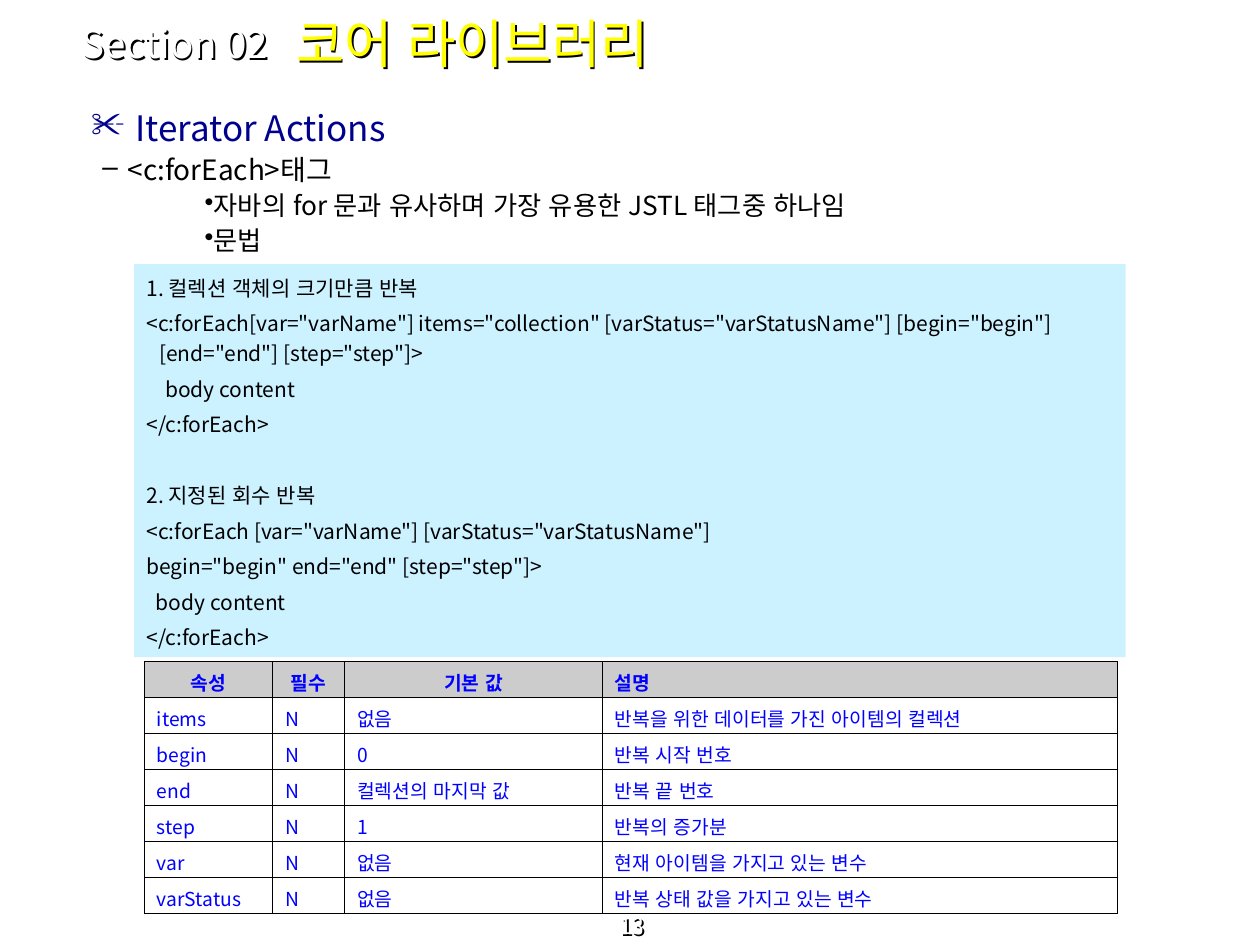
from lxml import etree
from pptx import Presentation
from pptx.dml.color import RGBColor
from pptx.enum import shapes, text
from pptx.oxml import ns
from pptx.util import Inches, Pt

W, H = 10, 7.5
FONT = "Noto Sans CJK KR"
COLORS = {"navy": "00008E", "black": "000000", "white": "FFFFFF", "yellow": "FFFF00",
          "blue": "0000FF", "code": "CDF2FF", "header": "CCCCCC"}
LEFT, CENTER, JUSTIFY = (text.PP_ALIGN.LEFT, text.PP_ALIGN.CENTER, text.PP_ALIGN.JUSTIFY)

# Outline: text, level, size, colour, bullet, left margin, first-line indent, space before
OUTLINE = [
    ("Iterator Actions", 0, 20, "navy", "✂", 0.45, -0.35, 0),
    ("<c:forEach>태그", 1, 16, "black", "–", 0.39, -0.2, 4),
    ("자바의 for 문과 유사하며 가장 유용한 JSTL 태그중 하나임", 2, 15, "black", "•", 0.59, 0.41, 3.7),
    ("문법", 2, 15, "black", "•", 0.59, 0.41, 3.7),
]
SYNTAX = [
    ["1. 컬렉션 객체의 크기만큼 반복",
     '<c:forEach[var="varName"] items="collection" [varStatus="varStatusName"] '
     '[begin="begin"] [end="end"] [step="step"]>',
     "    body content",
     "</c:forEach>"],
    ["2. 지정된 회수 반복",
     '<c:forEach [var="varName"] [varStatus="varStatusName"]',
     'begin="begin" end="end" [step="step"]>',
     "  body content",
     "</c:forEach>"],
]
ATTRIBUTES = [
    ("속성", "필수", "기본 값", "설명"),
    ("items", "N", "없음", "반복을 위한 데이터를 가진 아이템의 컬렉션"),
    ("begin", "N", "0", "반복 시작 번호"),
    ("end", "N", "컬렉션의 마지막 값", "반복 끝 번호"),
    ("step", "N", "1", "반복의 증가분"),
    ("var", "N", "없음", "현재 아이템을 가지고 있는 변수"),
    ("varStatus", "N", "없음", "반복 상태 값을 가지고 있는 변수"),
]
COL_SHARES = [0.132, 0.074, 0.265, 0.529]


def rgb(name):
    return RGBColor.from_string(COLORS[name])


def sub(parent, tag, **attrs):
    return etree.SubElement(parent, ns.qn(tag), {k: str(v) for k, v in attrs.items()})


def write(tf, content, size, color, first=False, bold=False, align=LEFT, level=0, before=0,
          spacing=None, margin=0, indent=0, bullet=None):
    """Add one formatted paragraph to a text frame."""
    p = tf.paragraphs[0] if first else tf.add_paragraph()
    p.alignment, p.level, p.line_spacing = align, level, spacing
    p.space_before = Pt(before)
    ppr = p._p.get_or_add_pPr()
    ppr.set("marL", str(Inches(margin)))
    ppr.set("indent", str(Inches(indent)))
    if bullet:
        sub(sub(ppr, "a:buClr"), "a:srgbClr", val=COLORS[color])
        sub(ppr, "a:buChar", char=bullet)
    r = p.add_run()
    r.text = content
    r.font.size, r.font.bold, r.font.color.rgb = Pt(size), bold, rgb(color)
    r.font.name = FONT
    rpr = r._r.get_or_add_rPr()
    rpr.set("lang", "ko-KR")
    sub(rpr, "a:ea", typeface=FONT)


def set_frame(tf, anchor=text.MSO_ANCHOR.TOP, top=0.05):
    tf.word_wrap, tf.vertical_anchor = True, anchor
    tf.margin_left = tf.margin_right = Inches(0.1)
    tf.margin_top, tf.margin_bottom = Inches(top), Inches(0.05)
    return tf


def add_box(slide, box, shadow=False, **frame):
    sp = slide.shapes.add_textbox(*map(Inches, box))
    if shadow:
        # An unfilled box casts the shadow of its text
        effects = sub(sp._element.spPr, "a:effectLst")
        outer = sub(effects, "a:outerShdw", dist=Pt(1.5), dir=2700000, algn="ctr", rotWithShape=0)
        sub(outer, "a:srgbClr", val=COLORS["black"])
    return set_frame(sp.text_frame, **frame)


def add_heading(slide, box):
    x, y, w, h = box
    middle = text.MSO_ANCHOR.MIDDLE
    tf = add_box(slide, (x + 0.21 * w, y, 0.79 * w, h), shadow=True, anchor=middle)
    write(tf, "코어 라이브러리", 30, "yellow", first=True)
    tf = add_box(slide, (x, y + 0.24 * h, 0.24 * w, 0.54 * h), shadow=True, anchor=middle)
    write(tf, "Section 02", 22, "white", first=True)


def add_outline(slide, box):
    tf = add_box(slide, box, top=0)
    for i, (line, level, size, color, bullet, margin, indent, before) in enumerate(OUTLINE):
        write(tf, line, size, color, first=i == 0, level=level, before=before,
              spacing=0.9, margin=margin, indent=indent, bullet=bullet)


def add_syntax(slide, box):
    sp = slide.shapes.add_shape(shapes.MSO_SHAPE.RECTANGLE, *map(Inches, box))
    sp.shadow.inherit = False
    sp.fill.solid()
    sp.fill.fore_color.rgb = rgb("code")
    sp.line.fill.background()
    tf = set_frame(sp.text_frame)
    for b, block in enumerate(SYNTAX):
        for i, line in enumerate(block):
            first = b == i == 0
            # A later block starts one line lower
            before = 0 if first else 23.2 if i == 0 else 3
            write(tf, line, 12, "black", first=first, before=before,
                  spacing=1.2, margin=0.1, indent=-0.1)


def set_borders(cell):
    tcpr = cell._tc.get_or_add_tcPr()
    for n, side in enumerate(("a:lnL", "a:lnR", "a:lnT", "a:lnB")):
        ln = etree.Element(ns.qn(side), {"w": str(Pt(0.45))})
        sub(sub(ln, "a:solidFill"), "a:srgbClr", val=COLORS["black"])
        tcpr.insert(n, ln)


def add_attributes(slide, box):
    rows, cols = len(ATTRIBUTES), len(COL_SHARES)
    table = slide.shapes.add_table(rows, cols, *map(Inches, box)).table
    for col, share in zip(table.columns, COL_SHARES):
        col.width = Inches(box[2] * share)
    for r, record in enumerate(ATTRIBUTES):
        table.rows[r].height = Inches(box[3] / rows)
        for c, value in enumerate(record):
            cell = table.cell(r, c)
            header = r == 0
            if header:
                cell.fill.solid()
                cell.fill.fore_color.rgb = rgb("header")
            else:
                cell.fill.background()
            set_borders(cell)
            cell.vertical_anchor = text.MSO_ANCHOR.MIDDLE
            cell.margin_left = cell.margin_right = Inches(0.1)
            cell.margin_top, cell.margin_bottom = Inches(0.05), Inches(0.01)
            write(cell.text_frame, value, 11, "blue", first=True, bold=header,
                  align=CENTER if header and c < cols - 1 else JUSTIFY)


def add_page_number(slide, box):
    tf = add_box(slide, box, shadow=True, anchor=text.MSO_ANCHOR.BOTTOM)
    write(tf, "13", 13, "white", first=True, align=CENTER)


def main():
    prs = Presentation()
    prs.slide_width, prs.slide_height = Inches(W), Inches(H)
    slide = prs.slides.add_slide(prs.slide_layouts[6])
    add_page_number(slide, (0.003 * W, 0.97 * H, 0.997 * W, 0.03 * H))
    add_outline(slide, (0.0525 * W, 0.118 * H, 0.9 * W, 0.66 * H))
    add_syntax(slide, (0.1065 * W, 0.2795 * H, 0.787 * W, 0.416 * H))
    add_attributes(slide, (0.1145 * W, 0.7 * H, 0.772 * W, 0.267 * H))
    add_heading(slide, (0.055 * W, 0, 0.81 * W, 0.09 * H))
    prs.save("out.pptx")


if __name__ == "__main__":
    main()
